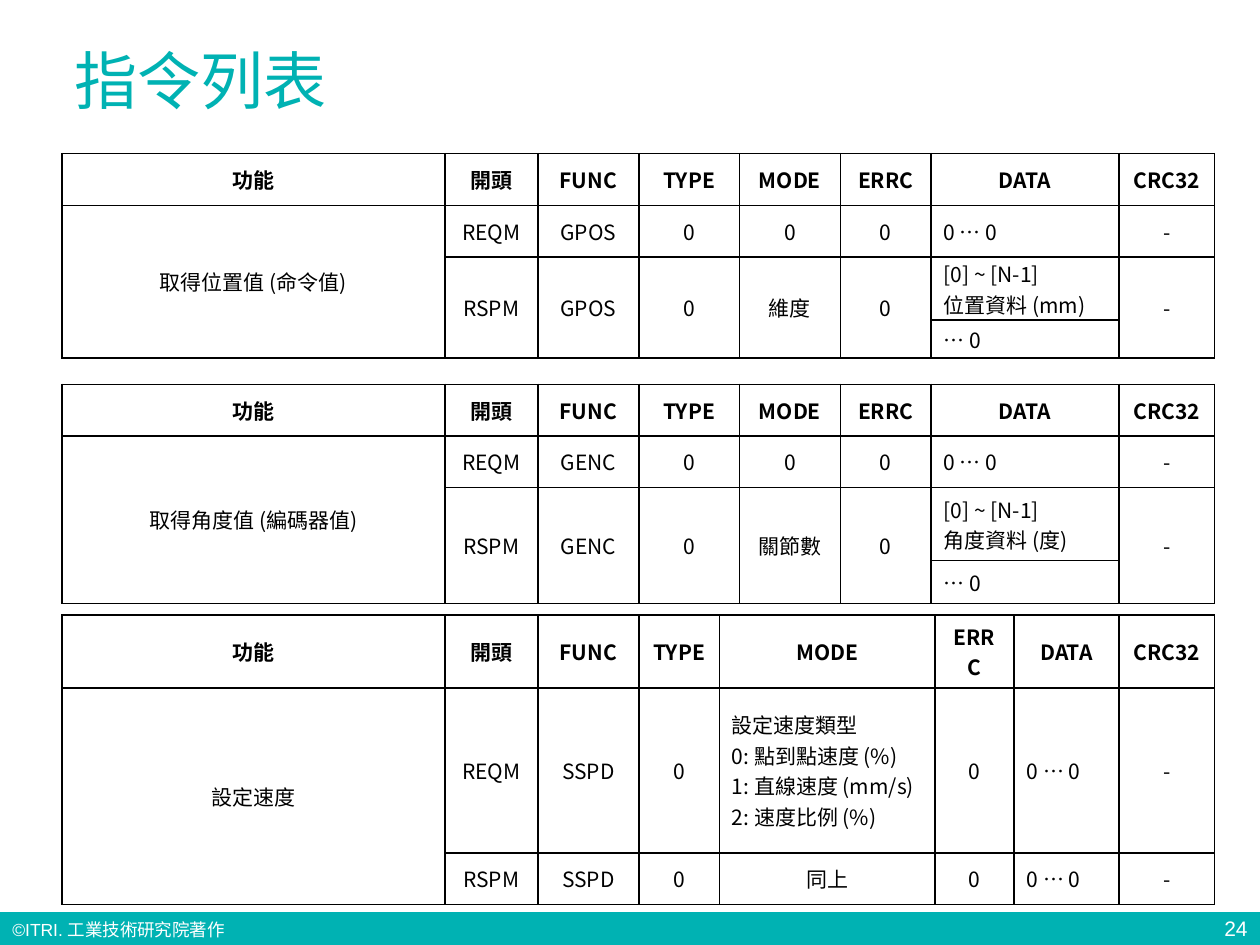
from pptx import Presentation
from pptx.dml.color import RGBColor
from pptx.enum.shapes import MSO_SHAPE
from pptx.enum.text import MSO_ANCHOR, PP_ALIGN
from pptx.oxml import parse_xml
from pptx.oxml.ns import nsdecls
from pptx.util import Inches, Pt

LEFT, CENTER, RIGHT = PP_ALIGN.LEFT, PP_ALIGN.CENTER, PP_ALIGN.RIGHT
TOP, MIDDLE = MSO_ANCHOR.TOP, MSO_ANCHOR.MIDDLE
RECT = MSO_SHAPE.RECTANGLE
COLORS = {"teal": "00B2B3", "white": "FFFFFF", "black": "000000"}
HEAD = ["功能", "開頭", "FUNC", "TYPE", "MODE", "ERRC", "DATA", "CRC32"]
DATA = HEAD.index("DATA")
WIDE = [3.04, 0.74, 0.8, 0.8, 0.8, 0.72, 1.49, 0.76]
NARROW = [3.04, 0.74, 0.8, 0.64, 1.71, 0.63, 0.83, 0.76]
SPEEDS = "設定速度類型\n0: 點到點速度 (%)\n1: 直線速度 (mm/s)\n2: 速度比例 (%)"


def style(para, font, size, color, align=LEFT, bold=False):
    para.alignment = align
    para.font.name = font
    para.font.size = Pt(size)
    para.font.bold = bold
    para.font.color.rgb = RGBColor.from_string(COLORS[color])


def add_bar(slide):
    bar = slide.shapes.add_shape(RECT, 0, Inches(7.24), Inches(10), Inches(0.26))
    bar.shadow.inherit = False
    bar.fill.solid()
    bar.fill.fore_color.rgb = RGBColor.from_string(COLORS["teal"])
    bar.line.fill.background()


def add_text(slide, text, box, size, color, align=LEFT, anchor=MIDDLE):
    frame = slide.shapes.add_textbox(*map(Inches, box)).text_frame
    frame.word_wrap = True
    frame.vertical_anchor = anchor
    frame.text = text
    para = frame.paragraphs[0]
    style(para, "Arial", size, color, align)
    return para


def add_borders(cell):
    props = cell._tc.get_or_add_tcPr()
    for index, side in enumerate(("lnL", "lnR", "lnT", "lnB")):
        props.insert(index, parse_xml(
            f'<a:{side} {nsdecls("a")} w="12700"><a:solidFill>'
            f'<a:srgbClr val="{COLORS["black"]}"/></a:solidFill></a:{side}>'))


def add_grid(slide, top, widths, heights, body, pad=0.05):
    """Draw a command table; None continues the cell above, pad is for split data cells."""
    rows = [HEAD] + body
    table = slide.shapes.add_table(
        len(rows), len(HEAD), Inches(0.49), Inches(top),
        Inches(sum(widths)), Inches(sum(heights))).table
    table.first_row = table.horz_banding = False
    for col, width in zip(table.columns, widths):
        col.width = Inches(width)
    for row, height in zip(table.rows, heights):
        row.height = Inches(height)
    for r, row in enumerate(rows):
        for c, text in enumerate(row):
            cell = table.cell(r, c)
            cell.fill.background()
            add_borders(cell)
            if text is None:
                continue
            cell.text = text
            cell.vertical_anchor = MIDDLE
            if c == DATA and r > 1:
                cell.margin_top = cell.margin_bottom = Inches(pad)
            left = r > 0 and (c == DATA or "\n" in text)
            for para in cell.text_frame.paragraphs:
                style(para, "Noto Sans CJK SC", 12, "black",
                      LEFT if left else CENTER, r == 0)
            end = r + 1
            while end < len(rows) and rows[end][c] is None:
                end += 1
            if end > r + 1:
                cell.merge(table.cell(end - 1, c))


def read_rows(name, func, mode, data):
    """Rows of a command that reads values back."""
    return [
        [name, "REQM", func, "0", "0", "0", "0 … 0", "-"],
        [None, "RSPM", func, "0", mode, "0", f"[0] ~ [N-1]\n{data}", "-"],
        [None] * DATA + ["… 0", None],
    ]


def main():
    deck = Presentation()
    deck.slide_width, deck.slide_height = Inches(10), Inches(7.5)
    slide = deck.slides.add_slide(deck.slide_layouts[6])
    add_bar(slide)
    add_text(slide, "©ITRI. 工業技術研究院著作", (0, 7.24, 3.9, 0.27), 10, "white")
    title = add_text(slide, "指令列表", (0.49, 0.35, 9.15, 0.97), 36, "teal", anchor=TOP)
    title.line_spacing = 0.9
    add_text(slide, "24", (9.38, 7.24, 0.62, 0.26), 12, "white", RIGHT)
    add_grid(slide, 1.22, WIDE, [0.41, 0.41, 0.5, 0.3],
             read_rows("取得位置值 (命令值)", "GPOS", "維度", "位置資料 (mm)"), 0.01)
    add_grid(slide, 3.05, WIDE, [0.41, 0.41, 0.58, 0.34],
             read_rows("取得角度值 (編碼器值)", "GENC", "關節數", "角度資料 (度)"))
    add_grid(slide, 4.88, NARROW, [0.58, 1.31, 0.41], [
        ["設定速度", "REQM", "SSPD", "0", SPEEDS, "0", "0 … 0", "-"],
        [None, "RSPM", "SSPD", "0", "同上", "0", "0 … 0", "-"],
    ])
    deck.save("out.pptx")


if __name__ == "__main__":
    main()
